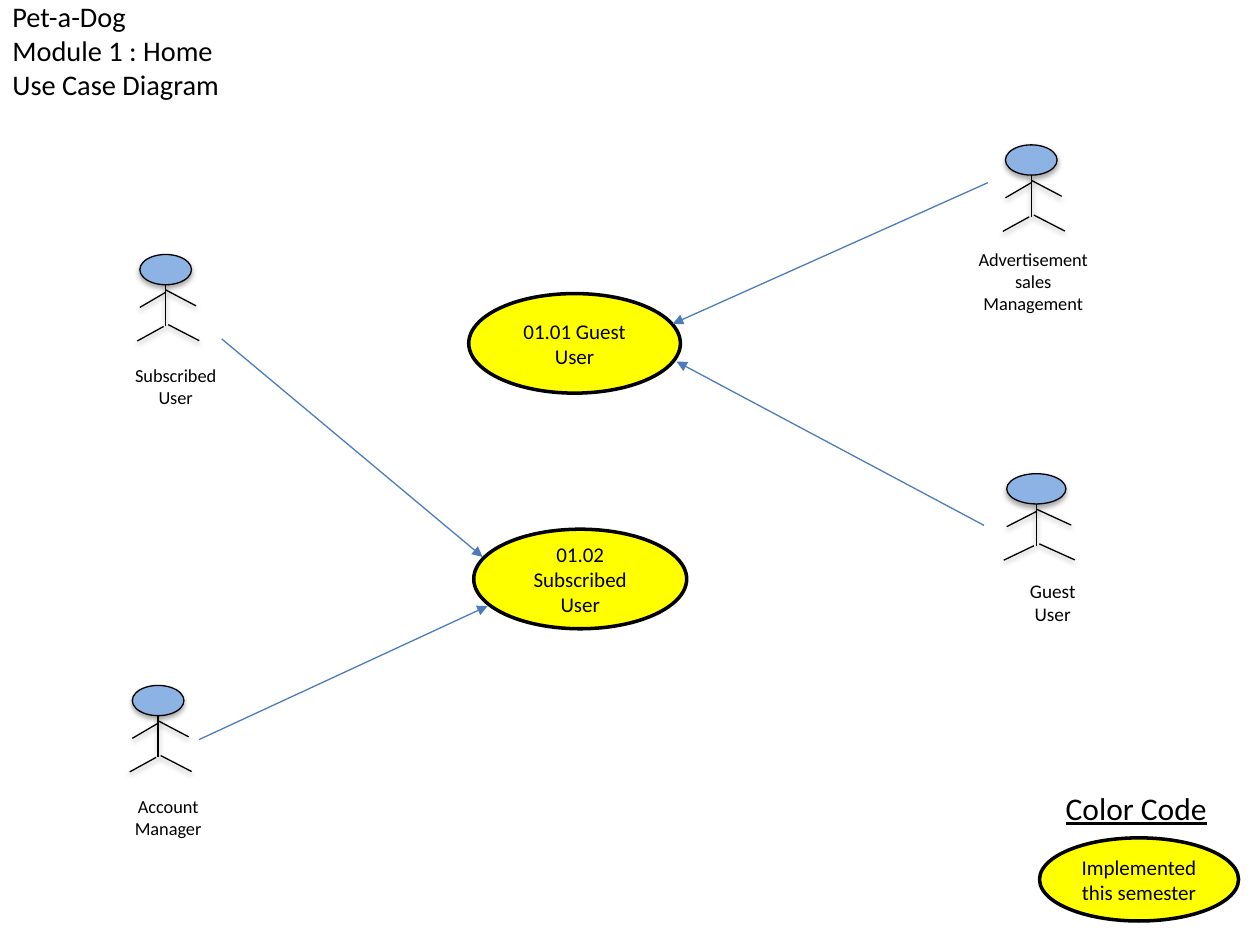
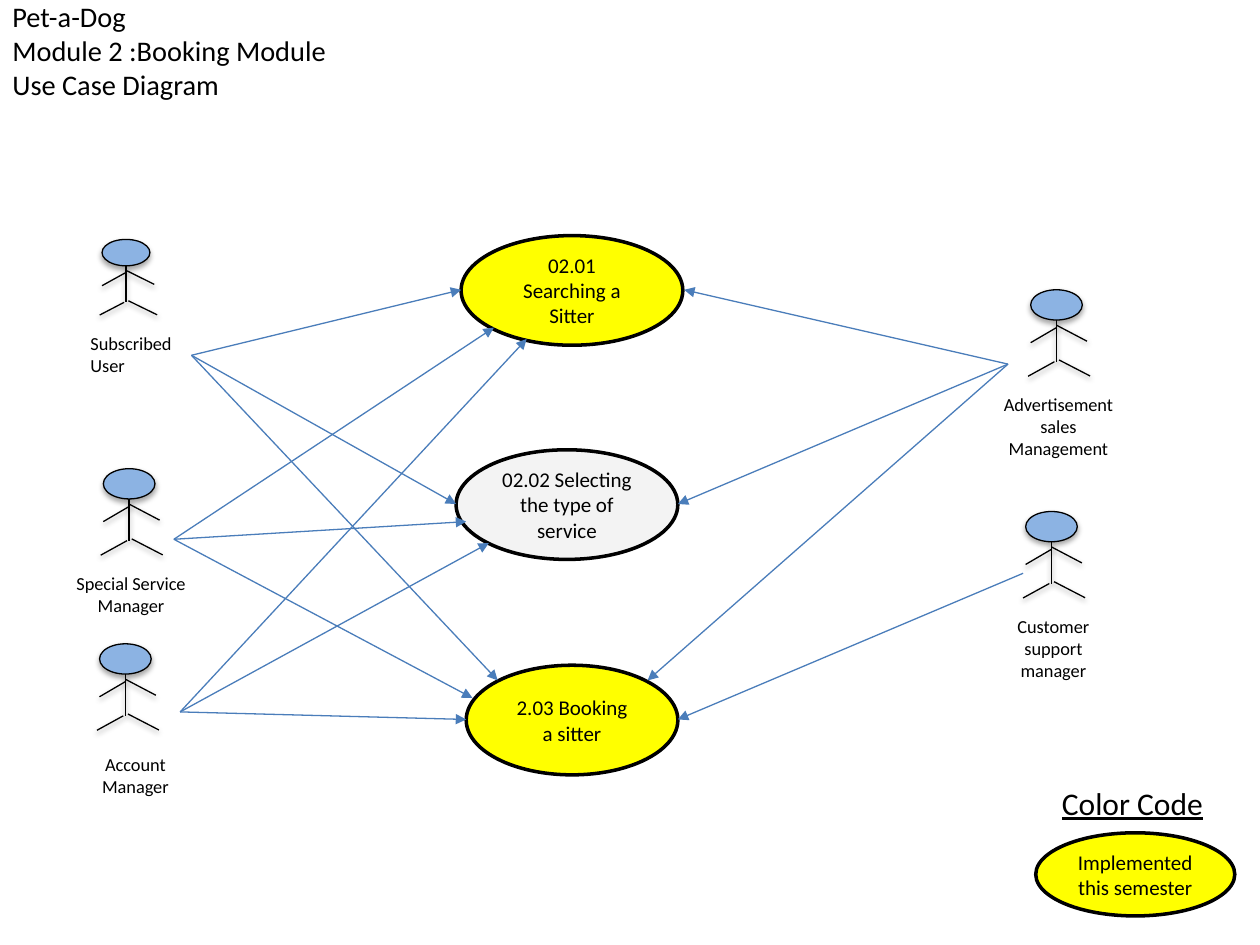
"""Draw the use case diagrams of two modules on a grid of 100 columns by 75 rows."""
from lxml.etree import SubElement
from pptx import Presentation
from pptx.dml.color import RGBColor
from pptx.enum.shapes import MSO_CONNECTOR, MSO_SHAPE
from pptx.enum.text import MSO_ANCHOR, PP_ALIGN
from pptx.oxml.ns import qn
from pptx.util import Inches, Pt

HUES = {"ink": "000000", "head": "8CB3E3", "link": "4A7DBA",
        "done": "FFFF00", "open": "F3F3F3"}
FONT = "Calibri"
CELL = Inches(0.1)
LIMBS = [
    (0.5, 1, 0.5, 2.38),
    (0.5, 1.25, 0, 1.75),
    (0.46, 2.38, -0.05, 2.86),
    (0.5, 1.17, 1.09, 1.7),
    (0.55, 2.32, 1.15, 2.85),
]
HEADS = {"slim": (4.1, 2.4), "wide": (4.1, 2.4), "guest": (4.7, 2.4), "small": (3.8, 2.1)}
LABELS = {
    "slim": (-2, 8.2, 9.7, 4.5, 10.5, PP_ALIGN.CENTER),
    "wide": (-3.4, 7.7, 11.2, 6.3, 10.5, PP_ALIGN.CENTER),
    "guest": (-0.6, 7.9, 8.5, 4.7, 11, PP_ALIGN.CENTER),
    "small": (-1.9, 6.9, 9, 4.5, 10.5, PP_ALIGN.LEFT),
}
SLIDES = [
    {
        "name": "Module 1 : Home",
        "key": (82.5, 66.5),
        "cases": [
            ("01.01 Guest User", "done", 37.2, 23.3, 16.8, 7.9),
            ("01.02 Subscribed User", "done", 37.6, 42, 16.9, 7.9),
        ],
        "actors": [
            ("Subscribed User", "slim", 11.1, 20.2),
            ("Guest User", "guest", 79.9, 37.6),
            ("Advertisement sales Management", "wide", 79.8, 11.5),
            ("Account Manager", "slim", 10.5, 54.4),
        ],
        "links": [
            ((17.6, 26.9), [(38.3, 44.2)]),
            ((78.1, 41.7), [(53.7, 28.7)]),
            ((15.8, 58.7), [(38.7, 48.1)]),
            ((78.4, 14.5), [(53.4, 25.7)]),
        ],
    },
    {
        "name": "Module 2 :Booking Module",
        "key": (82.2, 66.1),
        "cases": [
            ("02.01 Searching a Sitter", "done", 36.6, 18.7, 17.6, 8.7),
            ("02.02 Selecting the type of service", "open", 36.2, 35.7, 17.6, 8.7),
            ("2.03 Booking a sitter", "done", 37, 52.8, 16.8, 8.7),
        ],
        "actors": [
            ("Subscribed User", "small", 8.1, 19),
            ("Account Manager", "slim", 7.9, 51.1),
            ("Advertisement sales Management", "wide", 81.8, 23),
            ("Special Service Manager", "wide", 8.2, 37.2),
            ("Customer support manager", "wide", 81.4, 40.6),
        ],
        "links": [
            ((15.2, 28.2), [(36.6, 23), (36.2, 40), (39.5, 54)]),
            ((80, 28.9), [(54.3, 23), (53.8, 40), (51.4, 54)]),
            ((13.8, 42.8), [(37, 41.4), (39.2, 26), (37.5, 55.4)]),
            ((14.3, 56.5), [(37, 57.1), (41.8, 26.9), (38.8, 43.1)]),
            ((81.2, 45.5), [(53.8, 57.1)]),
        ],
    },
]


def write(box, text, size, align):
    """Fill a box with text in the shared type."""
    frame = box.text_frame
    frame.text = text
    frame.word_wrap = True
    for line in frame.paragraphs:
        line.alignment = align
        for run in line.runs:
            run.font.name = FONT
            run.font.size = Pt(size)
            run.font.color.rgb = RGBColor.from_string(HUES["ink"])
    return frame


def stroke(shape, hue, width, drop=0, dark=0):
    """Set the outline, and a soft shadow if drop is given."""
    shape.line.color.rgb = RGBColor.from_string(HUES[hue])
    shape.line.width = Pt(width)
    fx = SubElement(shape.element.spPr, qn("a:effectLst"))
    if drop:
        glow = SubElement(fx, qn("a:outerShdw"), blurRad=str(Pt(3.1)), dist=str(Pt(drop)),
                          dir="5400000", rotWithShape="0")
        tone = SubElement(glow, qn("a:srgbClr"), val=HUES["ink"])
        SubElement(tone, qn("a:alpha"), val=str(dark * 1000))


deck = Presentation()
deck.slide_width = 100 * CELL
deck.slide_height = 75 * CELL

for page in SLIDES:
    shapes = deck.slides.add_slide(deck.slide_layouts[6]).shapes

    title = shapes.add_textbox(*[round(n * CELL) for n in (0, 2.4, 43.3, 5.8)])
    text = "\n".join(("Pet-a-Dog", page["name"], "Use Case Diagram"))
    frame = write(title, text, 16.2, PP_ALIGN.LEFT)
    frame.vertical_anchor = MSO_ANCHOR.MIDDLE
    frame.margin_bottom = Inches(0.32)

    left, top = page["key"]
    key = ("Implemented this semester", "done", left, top, 15.8, 6.6)
    for text, hue, *spot in page["cases"] + [key]:
        oval = shapes.add_shape(MSO_SHAPE.OVAL, *[round(n * CELL) for n in spot])
        oval.fill.solid()
        oval.fill.fore_color.rgb = RGBColor.from_string(HUES[hue])
        stroke(oval, "ink", 2)
        write(oval, text, 12, PP_ALIGN.CENTER)

    spot = (left + 1.1, top - 4.4, 13.6, 4)
    head = shapes.add_textbox(*[round(n * CELL) for n in spot])
    frame = write(head, "Color Code", 18, PP_ALIGN.LEFT)
    frame.paragraphs[0].runs[0].font.underline = True

    for text, kind, left, top in page["actors"]:
        parts = shapes.add_group_shape().shapes
        wide, high = HEADS[kind]
        spot = (left, top, wide, high)
        head = parts.add_shape(MSO_SHAPE.OVAL, *[round(n * CELL) for n in spot])
        head.fill.solid()
        head.fill.fore_color.rgb = RGBColor.from_string(HUES["head"])
        stroke(head, "ink", 0.75, 1.8, 35)
        for x1, y1, x2, y2 in LIMBS:
            ends = (left + x1 * wide, top + y1 * high, left + x2 * wide, top + y2 * high)
            limb = parts.add_connector(MSO_CONNECTOR.STRAIGHT, *[round(n * CELL) for n in ends])
            stroke(limb, "ink", 0.75, 1.6, 38)
        right, down, wide, high, size, align = LABELS[kind]
        spot = (left + right, top + down, wide, high)
        label = parts.add_textbox(*[round(n * CELL) for n in spot])
        write(label, text, size, align)

    for start, stops in page["links"]:
        for stop in stops:
            ends = [round(n * CELL) for n in start + stop]
            link = shapes.add_connector(MSO_CONNECTOR.STRAIGHT, *ends)
            stroke(link, "link", 0.75)
            SubElement(link.element.spPr.find(qn("a:ln")), qn("a:tailEnd"), type="triangle")

deck.save("out.pptx")
